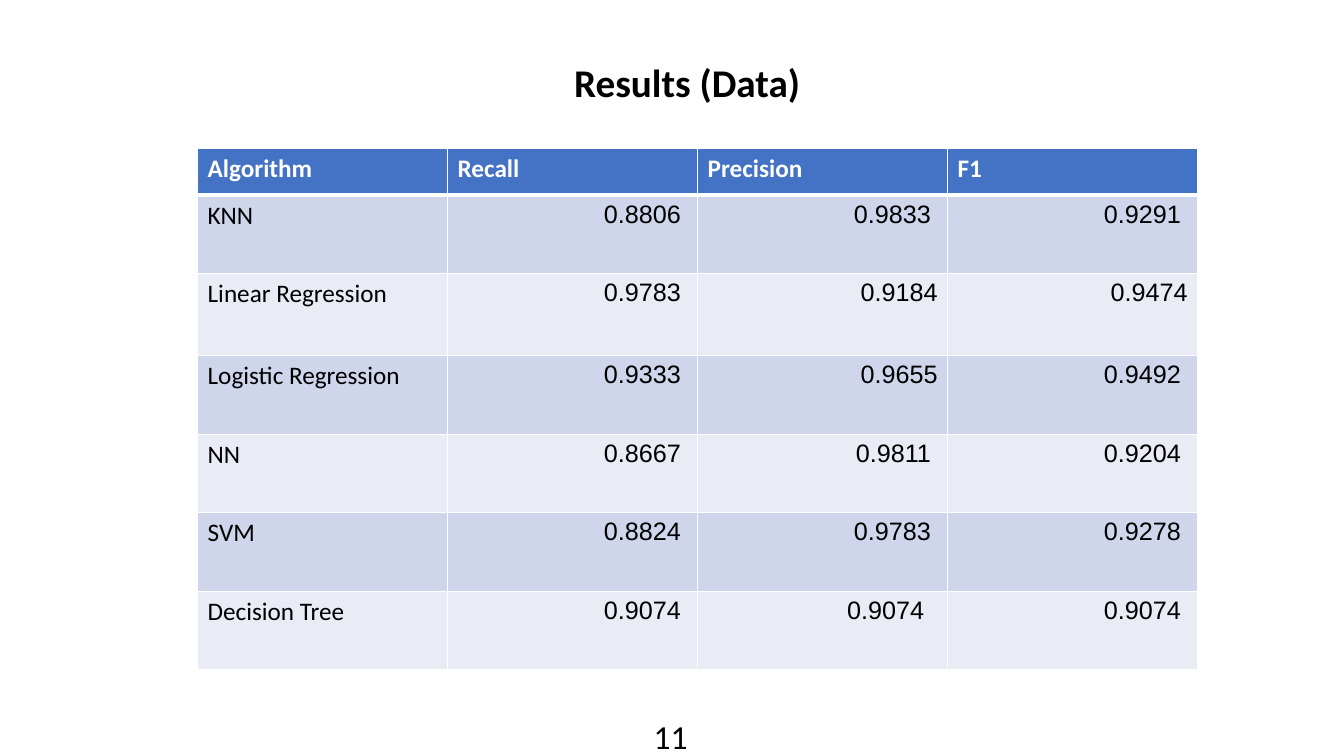
import pptx
import pptx.dml.color
import pptx.enum.text
import pptx.oxml
import pptx.oxml.ns
import pptx.util

Cm = pptx.util.Cm
Pt = pptx.util.Pt

TITLE = "Results (Data)"
PAGE_NUMBER = "11"
HEADER = ("Algorithm", "Recall", "Precision", "F1")
RESULTS = [
    ("KNN", "0.8806", "0.9833", "0.9291"),
    ("Linear Regression", "0.9783", "0.9184", "0.9474"),
    ("Logistic Regression", "0.9333", "0.9655", "0.9492"),
    ("NN", "0.8667", "0.9811", "0.9204"),
    ("SVM", "0.8824", "0.9783", "0.9278"),
    ("Decision Tree", "0.9074", "0.9074", "0.9074"),
]
INDENT_STEPS = {(2, 2): 0, (2, 3): 0, (3, 2): 0, (6, 2): 2}
INDENT_STEP = 0.17
CELL_MARGIN = 0.25

TABLE_LEFT, TABLE_TOP = 4.98, 3.74
COLUMN_WIDTH = 6.3
ROW_HEIGHTS = [1.18, 1.98, 2.06, 1.98, 1.98, 1.98, 1.98]
HEADER_FILL = "4472C4"
BAND_FILLS = ("E9EBF5", "CFD5EA")
WHITE, BLACK = "FFFFFF", "000000"


def color(value):
    return pptx.dml.color.RGBColor.from_string(value)


def write(frame, text, size, ink=BLACK, bold=False, complex_font=None):
    para = frame.paragraphs[0]
    span = para.add_run()
    span.text = text
    formats = {"name": "Calibri", "size": Pt(size), "bold": bold}
    for name, value in formats.items():
        setattr(span.font, name, value)
    span.font.color.rgb = color(ink)
    if complex_font:
        para.alignment = pptx.enum.text.PP_ALIGN.RIGHT
        para._p.get_or_add_pPr().set("rtl", "1")
        script = pptx.oxml.parse_xml(
            f'<a:cs {pptx.oxml.ns.nsdecls("a")} typeface="{complex_font}"/>')
        span._r.get_or_add_rPr().append(script)


def add_text(page, place, text, size, settings, **style):
    box = page.shapes.add_textbox(*(Cm(length) for length in place))
    for name, value in settings.items():
        setattr(box.text_frame, name, value)
    write(box.text_frame, text, size, **style)


def add_borders(cell, widths):
    properties = cell._tc.get_or_add_tcPr()
    for side, width in widths.items():
        properties.append(pptx.oxml.parse_xml(
            f'<a:ln{side} {pptx.oxml.ns.nsdecls("a")} w="{Pt(width)}">'
            f'<a:solidFill><a:srgbClr val="{WHITE}"/></a:solidFill></a:ln{side}>'))


def add_results(page):
    rows = [HEADER] + RESULTS
    table = page.shapes.add_table(
        len(rows), len(HEADER), Cm(TABLE_LEFT), Cm(TABLE_TOP),
        Cm(COLUMN_WIDTH * len(HEADER)), Cm(sum(ROW_HEIGHTS))).table
    for column in table.columns:
        column.width = Cm(COLUMN_WIDTH)
    for row_index, values in enumerate(rows):
        table.rows[row_index].height = Cm(ROW_HEIGHTS[row_index])
        for column_index, value in enumerate(values):
            cell = table.cell(row_index, column_index)
            is_header = row_index == 0
            is_score = not is_header and column_index > 0
            add_borders(cell, {"L": 1, "R": 1, "T": 3 if row_index == 1 else 1,
                               "B": 3 if is_header else 1})
            cell.fill.solid()
            cell.fill.fore_color.rgb = color(
                HEADER_FILL if is_header else BAND_FILLS[row_index % 2])
            if is_score:
                steps = INDENT_STEPS.get((row_index, column_index), 1)
                cell.margin_right = Cm(CELL_MARGIN + steps * INDENT_STEP)
            write(cell.text_frame, value, 18, WHITE if is_header else BLACK,
                  is_header, "Arial" if is_score else None)


def main():
    deck = pptx.Presentation()
    deck.slide_width, deck.slide_height = Cm(33.87), Cm(19.05)
    page = deck.slides.add_slide(deck.slide_layouts[6])
    add_results(page)
    add_text(page, (14.22, 1.35, 7.8, 1.45), TITLE, 28,
             {"word_wrap": True,
              "auto_size": pptx.enum.text.MSO_AUTO_SIZE.SHAPE_TO_FIT_TEXT},
             bold=True)
    add_text(page, (9.96, 18.03, 7.62, 1.02), PAGE_NUMBER, 24,
             {"word_wrap": True,
              "vertical_anchor": pptx.enum.text.MSO_ANCHOR.MIDDLE},
             complex_font="Calibri")
    deck.save("out.pptx")


if __name__ == "__main__":
    main()
